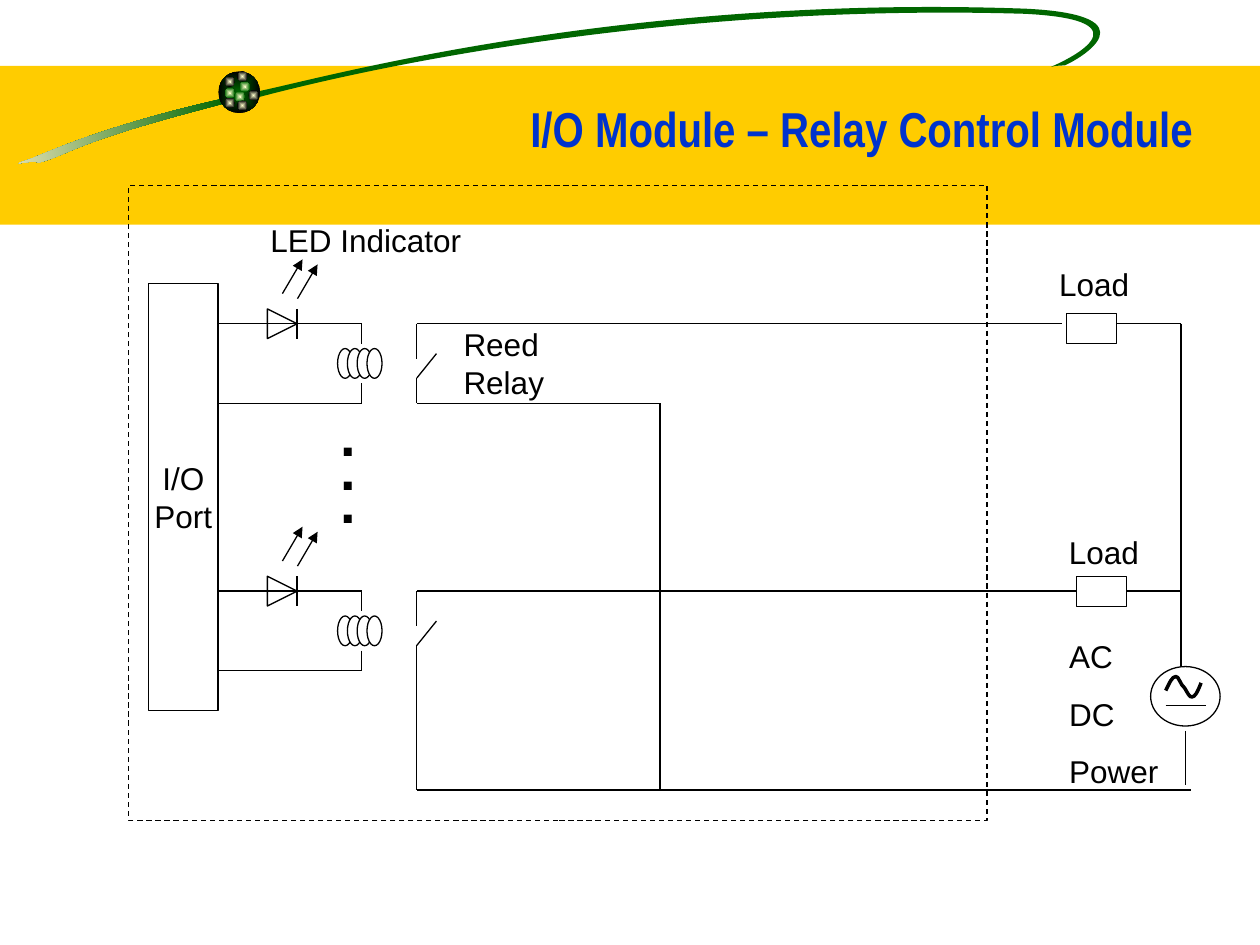
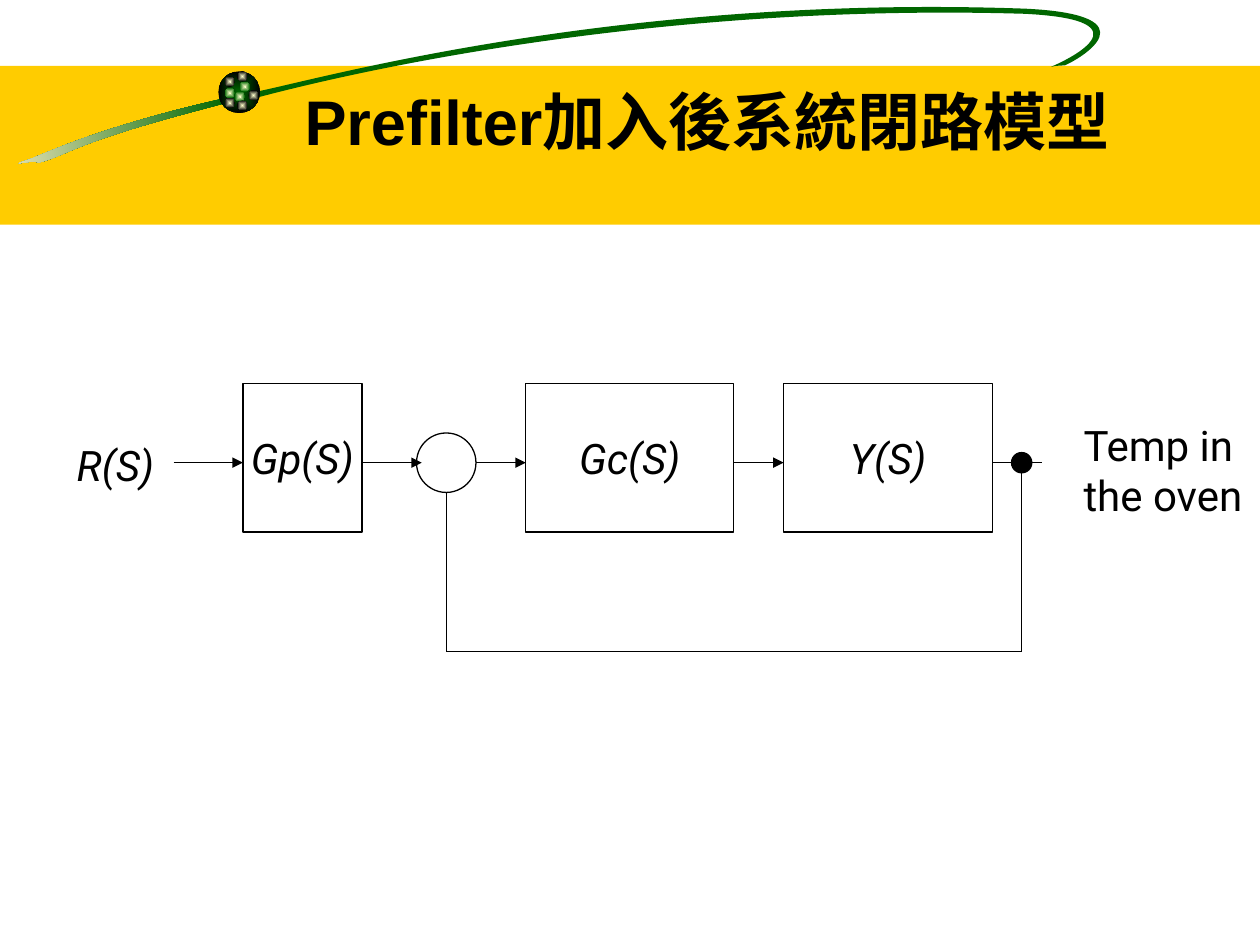
from math import cos, radians, sin

from lxml.etree import SubElement
from pptx import Presentation
from pptx.dml.color import RGBColor
from pptx.enum.dml import MSO_LINE
from pptx.enum.shapes import MSO_CONNECTOR, MSO_SHAPE
from pptx.enum.text import MSO_ANCHOR, MSO_AUTO_SIZE, PP_ALIGN
from pptx.oxml.ns import qn
from pptx.util import Pt

WHITE = RGBColor(0xFF, 0xFF, 0xFF)
BLACK = RGBColor(0, 0, 0)
YELLOW = RGBColor(0xFF, 0xCC, 0x00)
GREEN = RGBColor(0x00, 0x66, 0x00)
CREAM = RGBColor(0xF5, 0xEB, 0xC1)
GLOW = RGBColor(0xFF, 0xFF, 0xCC)
BLUE = RGBColor(0x00, 0x33, 0xCC)

LINE_WIDTH = 0.75
TILT = -8.5
TAIL = [(128.2, 56.2), (65.5, 70.6), (35.3, 83.5), (18, 90.7),
        (0.7, 96.5), (18.7, 90.7), (22.3, 92.9),
        (41, 87.8), (41, 81.4), (128.9, 59),
        (128.9, 59), (128.2, 56.2), (128.2, 56.2)]
SWOOSH = [(145.4, 52.6), (177.1, 46.8), (349.9, -3.6), (586.1, 5),
          (660.2, 8.6), (617, 33.8), (608.4, 37.4),
          (608.4, 37.4), (603.4, 37.4), (600.5, 38.2),
          (607.7, 35.3), (659.5, 11.5), (585.4, 7.9),
          (394.6, 2.2), (230.4, 33.8), (148.3, 55.4),
          (148.3, 55.4), (145.4, 52.6), (145.4, 52.6)]
SINE = [(8.6, 13.7), (10.8, 9.3), (12.2, 5.7), (14.4, 5.7),
        (15.8, 5), (17.2, 10.8), (19.4, 12.2),
        (20.8, 14.4), (22.3, 18), (23.7, 17.3),
        (25.2, 17.3), (26.6, 15.1), (28.8, 9.3)]
SPARKLES = [(12.2, 5.8, GREEN), (3.6, 2.9, BLACK), (3.6, 9.4, GREEN),
            (9.4, 11.5, GREEN), (17.2, 10.8, BLACK), (10.8, 16.6, BLACK),
            (3.6, 15.1, BLACK), (10.8, 0, BLACK)]


def add_shape(slide, kind, box, fill=WHITE, line=BLACK):
    shape = slide.shapes.add_shape(kind, *map(Pt, box))
    paint(shape, fill, line)
    return shape


def paint(shape, fill, line, width=LINE_WIDTH):
    shape.shadow.inherit = False
    if fill is None:
        shape.fill.background()
    else:
        shape.fill.solid()
        shape.fill.fore_color.rgb = fill
    if line is None:
        shape.line.fill.background()
    else:
        shape.line.color.rgb = line
        shape.line.width = Pt(width)


def paint_gradient(shape, start, end, angle=None):
    shape.fill.gradient()
    for stop, color in zip(shape.fill.gradient_stops, (start, end)):
        stop.color.rgb = color
    if angle is not None:
        shape.fill.gradient_angle = angle
        return
    gradient = shape._element.spPr.find(qn("a:gradFill"))
    gradient.remove(gradient.find(qn("a:lin")))
    centre = SubElement(gradient, qn("a:path"), path="rect")
    SubElement(centre, qn("a:fillToRect"), l="50000", t="50000", r="50000", b="50000")


def add_curve(slide, left, top, box, nodes, tilt=0, close=True):
    x, y, width, height = box
    corners = [(Pt(left + x + dx), Pt(top + y + dy))
               for dx, dy in ((0, 0), (width, 0), (width, height), (0, height))]
    builder = slide.shapes.build_freeform(*corners[0])
    builder.add_line_segments(corners[1:], close=close)
    shape = builder.convert_to_shape()
    shape.rotation = tilt % 360
    outline = shape._element.spPr.find(".//" + qn("a:path"))
    for segment in list(outline):
        outline.remove(segment)
    cosine, sine = cos(radians(tilt)), sin(radians(tilt))
    for index, (node_x, node_y) in enumerate(nodes):
        if index == 0:
            segment = SubElement(outline, qn("a:moveTo"))
        elif index % 3 == 1:
            segment = SubElement(outline, qn("a:cubicBezTo"))
        dx, dy = node_x - x - width / 2, node_y - y - height / 2
        SubElement(segment, qn("a:pt"),
                   x=str(int(Pt(width / 2 + cosine * dx + sine * dy))),
                   y=str(int(Pt(height / 2 - sine * dx + cosine * dy))))
    if close:
        SubElement(outline, qn("a:close"))
    return shape


def add_wire(slide, *points, arrow=False):
    for start, end in zip(points, points[1:]):
        connector = slide.shapes.add_connector(
            MSO_CONNECTOR.STRAIGHT, *map(Pt, start + end))
        connector.line.color.rgb = BLACK
        connector.line.width = Pt(LINE_WIDTH)
        if arrow:
            SubElement(connector.line._get_or_add_ln(), qn("a:tailEnd"), type="triangle")
        SubElement(connector._element.spPr, qn("a:effectLst"))


def write(frame, lines, size, font="Arial", color=BLACK, bold=False, italic=False,
          align=PP_ALIGN.LEFT, before=0, spacing=None):
    for index, line in enumerate(lines):
        paragraph = frame.add_paragraph() if index else frame.paragraphs[0]
        paragraph.alignment = align
        paragraph.space_before = Pt(before)
        if spacing:
            paragraph.line_spacing = spacing
        run = paragraph.add_run()
        run.text = line
        run.font.size = Pt(size)
        run.font.name = font
        run.font.color.rgb = color
        run.font.bold = bold
        run.font.italic = italic


def add_text(slide, box, lines, size=18, anchor=MSO_ANCHOR.TOP, grow=True, **style):
    frame = slide.shapes.add_textbox(*map(Pt, box)).text_frame
    frame.word_wrap = True
    frame.vertical_anchor = anchor
    if grow:
        frame.auto_size = MSO_AUTO_SIZE.SHAPE_TO_FIT_TEXT
    write(frame, lines, size, **style)


def add_block(slide, box, lines, size, **style):
    frame = add_shape(slide, MSO_SHAPE.RECTANGLE, box).text_frame
    frame.word_wrap = False
    frame.vertical_anchor = MSO_ANCHOR.MIDDLE
    write(frame, lines, size, align=PP_ALIGN.CENTER, **style)


def add_ball(slide, left, top):
    ball = add_shape(slide, MSO_SHAPE.OVAL, (left, top, 23.8, 23.8), line=None)
    paint_gradient(ball, GREEN, BLACK)
    for x, y, rim in SPARKLES:
        sparkle = add_shape(slide, MSO_SHAPE.OVAL, (left + x, top + y, 5.8, 5.8), line=None)
        paint_gradient(sparkle, GLOW, rim)


def add_backdrop(slide, left, top, width, height):
    group = slide.shapes.add_group_shape()
    add_shape(group, MSO_SHAPE.RECTANGLE, (left, top + 37.6, width, 90.8), YELLOW, None)
    tail = add_curve(group, left, top, (-2.2, 65.5, 132.5, 21.6), TAIL, TILT)
    paint(tail, GREEN, None)
    paint_gradient(tail, GREEN, CREAM, 180)
    swoosh = add_curve(group, left, top, (144.7, -10.8, 515.5, 78.5), SWOOSH, TILT)
    paint(swoosh, GREEN, None)
    add_ball(group, left + 124.8, top + 40.8)
    veil = add_shape(group, MSO_SHAPE.RECTANGLE,
                     (left + 53.3, top + 148.3, 87.8, height - 148.3), WHITE, None)
    tint = veil._element.spPr.find(qn("a:solidFill")).find(qn("a:srgbClr"))
    SubElement(tint, qn("a:alpha"), val="50000")


def add_title(slide, box, title, size, **style):
    add_text(slide, box, [title], size, bold=True, align=PP_ALIGN.RIGHT, **style)


def add_diode(slide, left, top):
    group = slide.shapes.add_group_shape()
    add_shape(group, MSO_SHAPE.ISOSCELES_TRIANGLE, (left, top, 17, 17)).rotation = 90
    add_wire(group, (left + 17, top), (left + 17, top + 17))


def add_relay_channel(slide, left, top, drop):
    add_diode(slide, left + 28.1, top - 8.5)
    for x, y in ((36.7, -17.2), (45.3, -14.3)):
        add_wire(slide, (left + x, top + y), (left + x + 11.5, top + y - 19.6), arrow=True)
    coil = left + 82
    bottom = top + 45.4
    add_wire(slide, (left, top), (coil, top), (coil, top + 11.4))
    for turn in range(4):
        add_shape(slide, MSO_SHAPE.OVAL, (left + 68.2 + 5.6 * turn, top + 14.2, 8.6, 17))
    add_wire(slide, (coil, top + 34), (coil, bottom))
    add_wire(slide, (left, bottom), (coil, bottom))
    contact = left + 113.5
    add_wire(slide, (contact, top + 31), (contact + 11.2, top + 17.1))
    add_wire(slide, (contact, top + 31), (contact, top + drop))
    add_wire(slide, (contact, top), (contact, top + 20))


def add_load(slide, left, top, rise):
    add_shape(slide, MSO_SHAPE.RECTANGLE, (left, top, 28.4, 17))
    add_text(slide, (left - 11.5, top - rise, 70.6, 28.8), ["Load"], before=11.2)


def add_power_source(slide, left, top):
    add_shape(slide, MSO_SHAPE.OVAL, (left, top, 39.7, 34))
    wave = add_curve(slide, left, top, (8.6, 5, 20.2, 13), SINE, close=False)
    paint(wave, None, BLACK, 2)
    add_wire(slide, (left + 8.6, top + 22.3), (left + 31.7, top + 22.3))
    add_text(slide, (left - 53.6, top - 20.2, 87.9, 95),
             ["AC", "DC", "Power"], before=11.2)


def add_relay_module(slide, left, top, width, height):
    module = add_shape(slide, MSO_SHAPE.RECTANGLE, (left, top, width, height), None)
    module.line.dash_style = MSO_LINE.DASH
    add_block(slide, (left + 11.3, top + 56, 39.7, 244), ["I/O", "Port"], 18)
    port = left + 51.1
    first, second = top + 79.1, top + 231.9
    contact, common, supply = port + 113.5, left + 303.6, left + 601.2
    first_return, ground = first + 45.4, top + 345.5
    add_relay_channel(slide, port, first, 45.4)
    add_relay_channel(slide, port, second, ground - second)
    add_load(slide, left + 536, first - 5.8, 31)
    add_load(slide, left + 541.6, second - 8.3, 28.5)
    add_wire(slide, (contact, first), (left + 533.4, first))
    add_wire(slide, (contact, second), (left + 541.4, second))
    add_wire(slide, (left + 564.6, first), (supply, first), (supply, top + 275.1))
    add_wire(slide, (left + 570.2, second), (supply, second))
    add_wire(slide, (contact, first_return), (common, first_return), (common, ground))
    add_wire(slide, (contact, ground), (left + 607, ground))
    add_wire(slide, (left + 604, top + 311.7), (left + 604, top + 342.9))
    add_power_source(slide, left + 583.9, top + 275)
    add_text(slide, (left + 73.9, top + 16.6, 124.6, 28.8), ["LED Indicator"], before=11.2)
    add_text(slide, (left + 184.2, top + 76.3, 96.5, 50.4), ["Reed Relay"], before=11.2)
    add_text(slide, (left + 113.7, top + 136, 45.4, 84.2), ["."] * 3, 32,
             bold=True, spacing=0.5)


def add_control_loop(slide, left, top, height):
    axis = top + 45.4
    block_style = dict(font="Roboto", italic=True)
    add_text(slide, (left, top + 28.8, 62.6, 36), ["R(S)"], 24, before=15, **block_style)
    for x, width, label in ((102, 68, "Gp(S)"), (263.6, 119, "Gc(S)"), (411, 119.2, "Y(S)")):
        add_block(slide, (left + x, top, width, 85), [label], 24, **block_style)
    add_shape(slide, MSO_SHAPE.OVAL, (left + 201.2, axis - 17, 34, 34))
    for start, end in ((62.4, 102), (170, 204.2), (235.2, 263.6), (382.6, 411)):
        add_wire(slide, (left + start, axis), (left + end, axis), arrow=True)
    add_wire(slide, (left + 530.2, axis), (left + 558.5, axis))
    branch, junction = left + 547, left + 218.2
    add_shape(slide, MSO_SHAPE.OVAL, (branch - 5.8, axis - 5.8, 11.6, 11.6), BLACK)
    add_wire(slide, (branch, axis + 5.8), (branch, top + height),
             (junction, top + height), (junction, axis + 17))
    add_text(slide, (left + 575.3, top + 17.2, 108, 93.6), ["Temp in the oven"], 24,
             font="Roboto", before=15)


def build_relay_slide(slide):
    add_title(slide, (25.4, 43.2, 663.1, 50.4), "I/O Module – Relay Control Module", 28,
              font="Arial Narrow", color=BLUE, anchor=MSO_ANCHOR.BOTTOM, grow=False)
    add_relay_module(slide, 73.6, 105.9, 490.4, 362.8)


def build_prefilter_slide(slide):
    add_title(slide, (59.6, 43.4, 589.7, 50.4), "Prefilter加入後系統閉路模型 ", 36,
              anchor=MSO_ANCHOR.MIDDLE)
    add_control_loop(slide, 36.8, 219, 153.2)


presentation = Presentation()
presentation.slide_width = Pt(720)
presentation.slide_height = Pt(540)
for build in (build_relay_slide, build_prefilter_slide):
    slide = presentation.slides.add_slide(presentation.slide_layouts[6])
    add_backdrop(slide, 0, 0, 720, 540)
    build(slide)
presentation.save("out.pptx")
